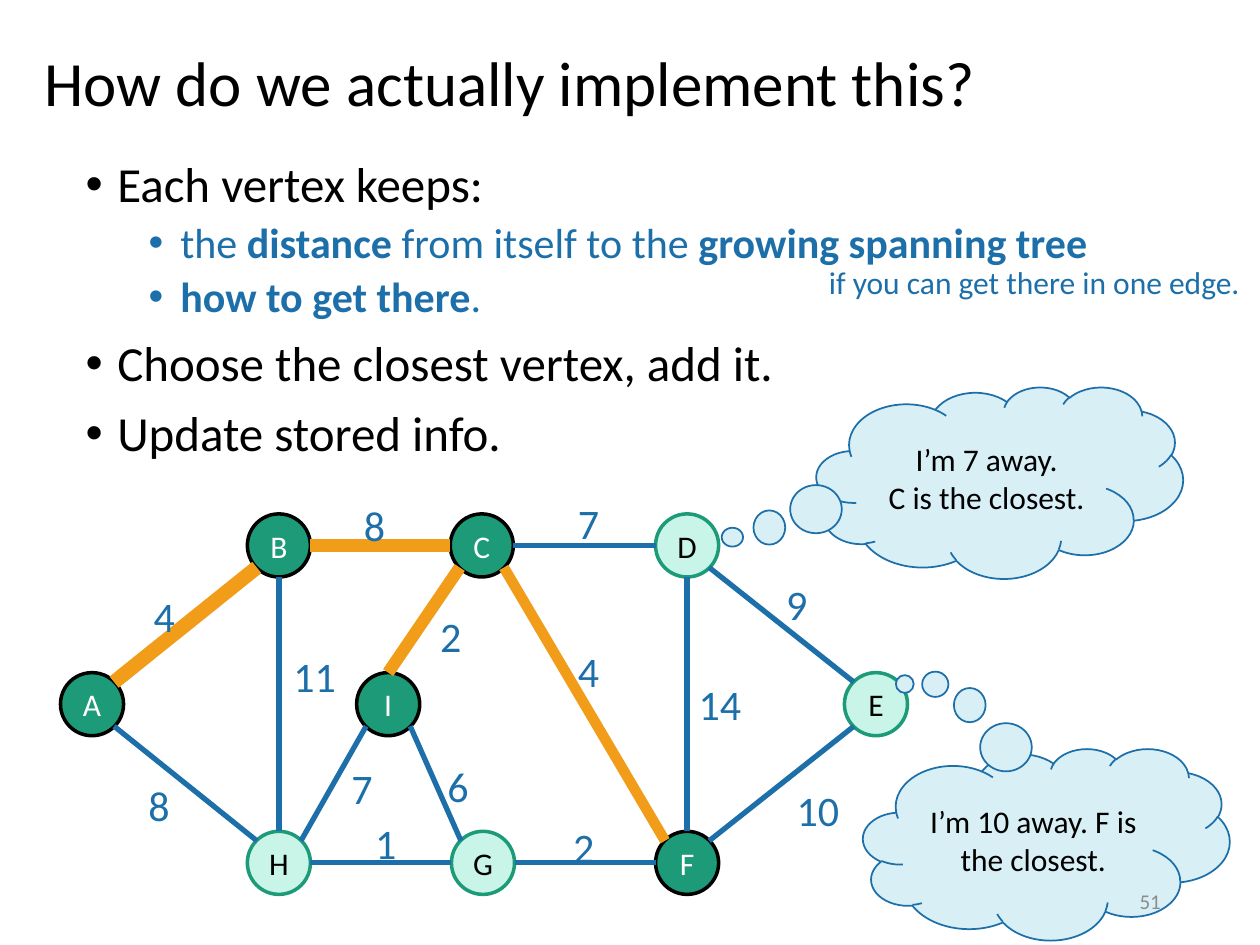
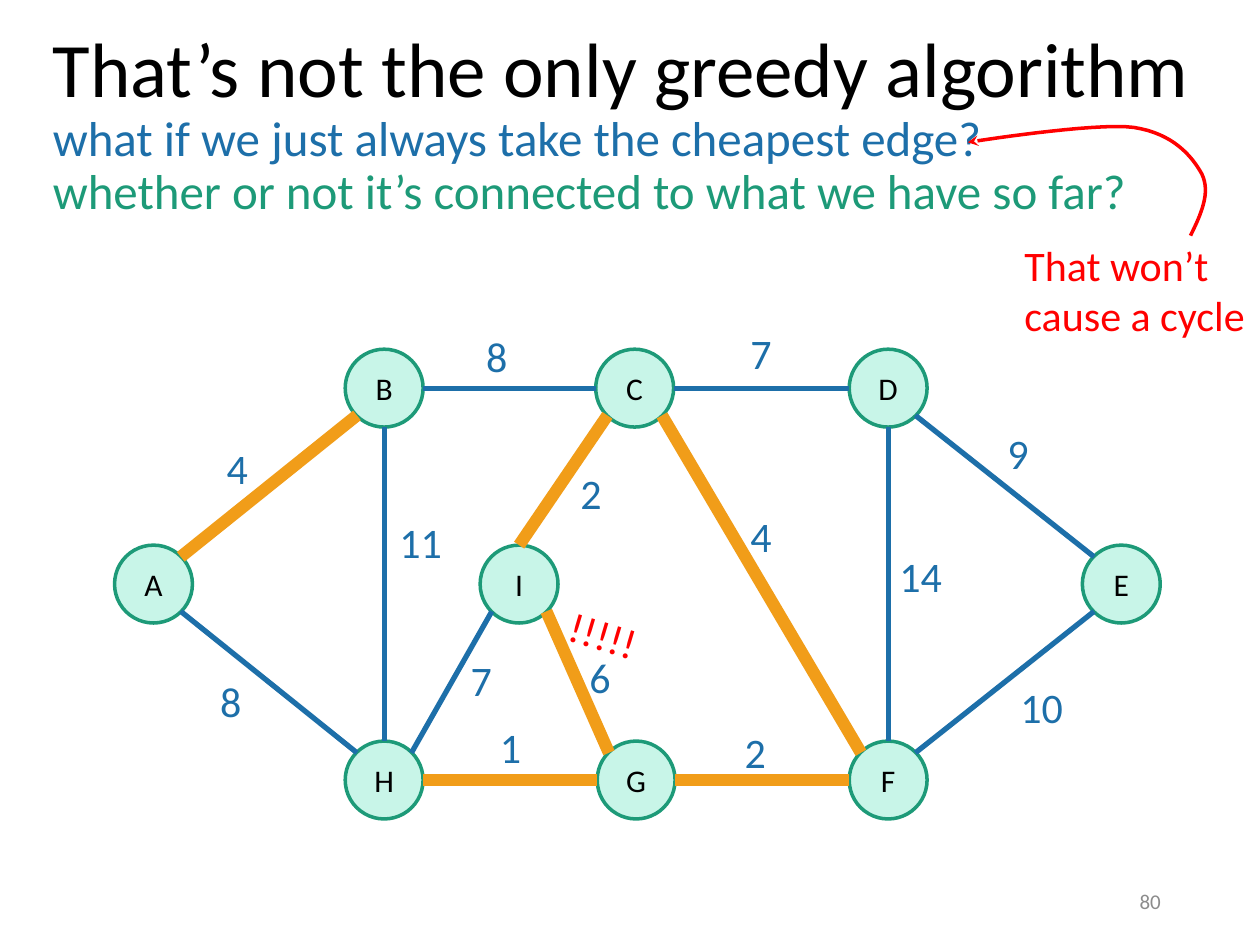
import pptx
import pptx.util
import pptx.dml.color
import pptx.enum.shapes
import pptx.enum.text
import pptx.oxml.ns
import lxml.etree

Cm = pptx.util.Cm
Pt = pptx.util.Pt
Shape = pptx.enum.shapes.MSO_SHAPE
Line = pptx.enum.shapes.MSO_CONNECTOR
Align = pptx.enum.text.PP_ALIGN
Anchor = pptx.enum.text.MSO_ANCHOR
Fit = pptx.enum.text.MSO_AUTO_SIZE

BLACK, WHITE, RED, GREY = "000000", "FFFFFF", "FF0000", "8C8C8C"
BLUE, GREEN, MINT, GOLD, SKY = "1D6FA9", "1D9A78", "C8F5E8", "F19D19", "D7EFF5"

NODE = 1.57
NODES = {
    "A": (0, 3.95), "B": (4.65, 0), "C": (9.7, 0),
    "D": (14.81, 0), "E": (19.51, 3.95), "F": (14.81, 7.9),
    "G": (9.73, 7.9), "H": (4.65, 7.9), "I": (7.37, 3.95),
}
SIDES = {
    "n": (0.5, 0), "s": (0.5, 1), "w": (0, 0.5), "e": (1, 0.5),
    "nw": (0.15, 0.15), "ne": (0.85, 0.15),
    "sw": (0.15, 0.85), "se": (0.85, 0.85),
}
EDGES = [
    ("CF", "se", "nw", 4, 12.57, 3.12),
    ("CD", "e", "w", 7, 12.57, -0.56),
    ("DE", "se", "nw", 9, 17.75, 1.45),
    ("EF", "sw", "ne", 10, 18.01, 6.58),
    ("DF", "s", "n", 14, 15.57, 3.94),
    ("IG", "se", "nw", 6, 9.32, 5.97),
    ("GF", "e", "w", 2, 12.45, 7.49),
    ("CI", "sw", "n", 2, 9.14, 2.26),
    ("BC", "e", "w", 8, 7.24, -0.51),
    ("AB", "ne", "sw", 4, 2.01, 1.75),
    ("AH", "se", "nw", 8, 1.88, 6.45),
    ("HG", "e", "w", 1, 7.52, 7.39),
    ("HI", "ne", "sw", 7, 6.93, 6.02),
    ("BH", "s", "n", 11, 5.49, 3.25),
]


def paint(code):
    return pptx.dml.color.RGBColor.from_string(code)


def apply(item, values):
    for name, value in values.items():
        setattr(item, name, value)


def add_tag(parent, tag, **values):
    node = lxml.etree.SubElement(parent, pptx.oxml.ns.qn(tag))
    for name, value in values.items():
        node.set(name, str(value))


def curve(start, parts, steps=16):
    points = [start]
    for one, two, end in parts:
        for step in range(1, steps + 1):
            t = step / steps
            u = 1 - t
            points.append(tuple(
                u**3 * a + 3 * u * u * t * b + 3 * u * t * t * c + t**3 * d
                for a, b, c, d in zip(start, one, two, end)))
        start = end
    return points


class Deck:
    font = "Calibri"

    def __init__(self):
        self.file = pptx.Presentation()
        apply(self.file, {"slide_width": Cm(25.4), "slide_height": Cm(19.05)})

    def start(self, layout, number):
        self.slide = self.file.slides.add_slide(self.file.slide_layouts[layout])
        self.shapes = self.slide.shapes
        self.number = number

    def close(self):
        self.text((17.93, 17.65, 5.72, 1.02), str(self.number), 12, GREY,
                  Align.RIGHT, vertical_anchor=Anchor.MIDDLE)

    def place(self, item, box):
        names = ("left", "top", "width", "height")
        apply(item, dict(zip(names, map(Cm, box))))

    def run(self, para, text, size, color, bold=False):
        run = para.add_run()
        run.text = text
        apply(run.font, {"name": self.font, "size": Pt(size), "bold": bold})
        run.font.color.rgb = paint(color)

    def paras(self, frame, count):
        return [frame.paragraphs[0]] + [
            frame.add_paragraph() for _ in range(count - 1)]

    def title(self, box, lines):
        item = self.shapes.title
        self.place(item, box)
        frame = item.text_frame
        apply(frame, {"word_wrap": True, "auto_size": Fit.NONE,
                      "vertical_anchor": Anchor.MIDDLE})
        for para, line in zip(self.paras(frame, len(lines)), lines):
            apply(para, {"alignment": Align.LEFT, "line_spacing": 0.9,
                         "space_before": Pt(0)})
            self.run(para, *line)

    def bullets(self, box, items):
        item = self.slide.placeholders[1]
        self.place(item, box)
        frame = item.text_frame
        frame.auto_size = Fit.NONE
        for index, (para, (level, runs)) in enumerate(
                zip(self.paras(frame, len(items)), items)):
            gap = (5 if level else 10) if index else 0
            apply(para, {"level": level, "line_spacing": 0.9,
                         "space_before": Pt(gap)})
            props = para._p.get_or_add_pPr()
            props.set("marL", str(Cm(1.91 if level else 0.64)))
            props.set("indent", str(Cm(-0.64)))
            add_tag(props, "a:buFont", typeface="Arial")
            add_tag(props, "a:buChar", char="•")
            for text, bold in runs:
                self.run(para, text, 24 if level else 28,
                         BLUE if level else BLACK, bold)

    def text(self, box, words, size=24, color=BLUE, align=Align.LEFT,
             turn=0, **format):
        item = self.shapes.add_textbox(*map(Cm, box))
        item.rotation = turn
        apply(item.text_frame, {"word_wrap": True, **format})
        para = item.text_frame.paragraphs[0]
        para.alignment = align
        self.run(para, words, size, color)

    def shape(self, kind, box, fill, edge, width, lines=(), color=BLACK):
        item = self.shapes.add_shape(kind, *map(Cm, box))
        item.shadow.inherit = False
        item.fill.solid()
        item.fill.fore_color.rgb = paint(fill)
        item.line.color.rgb = paint(edge)
        item.line.width = Pt(width)
        if lines:
            frame = item.text_frame
            apply(frame, {"word_wrap": True, "vertical_anchor": Anchor.MIDDLE})
            for para, line in zip(self.paras(frame, len(lines)), lines):
                para.alignment = Align.CENTER
                self.run(para, line, 18, color)

    def link(self, start, end, color, width):
        item = self.shapes.add_connector(
            Line.STRAIGHT, *map(Cm, (*start, *end)))
        item.line.color.rgb = paint(color)
        item.line.width = Pt(width)
        add_tag(item._element.spPr, "a:effectLst")

    def arrow(self, points, color, width):
        spots = [(Cm(x), Cm(y)) for x, y in points]
        form = self.shapes.build_freeform(*spots[0])
        form.add_line_segments(spots[1:], close=False)
        item = form.convert_to_shape()
        item.shadow.inherit = False
        item.fill.background()
        item.line.color.rgb = paint(color)
        item.line.width = Pt(width)
        add_tag(item.line._get_or_add_ln(), "a:tailEnd", type="stealth")

    def graph(self, left, top, scale, tree, done=""):
        def spot(x, y):
            return left + x * scale, top + y * scale

        def port(name, side):
            x, y = NODES[name]
            across, down = SIDES[side]
            return spot(x + across * NODE, y + down * NODE)

        size = NODE * scale
        for name, (x, y) in NODES.items():
            look = (GREEN, BLACK) if name in done else (MINT, GREEN)
            self.shape(Shape.OVAL, (*spot(x, y), size, size), *look, 2,
                       [name], WHITE if name in done else BLACK)
        for (tail, head), out, into, *_ in EDGES:
            width = tree.get(tail + head)
            self.link(port(tail, out), port(head, into),
                      GOLD if width else BLUE, width or 3)
        for *_, cost, x, y in EDGES:
            self.text((*spot(x, y), 2.18 * scale, 1.27 * scale), str(cost))

    def thought(self, left, top, lines, dots):
        self.shape(Shape.CLOUD, (left, top, 7.39, 3.86), SKY, BLUE, 1, lines)
        for dot in dots:
            self.shape(Shape.OVAL, dot, SKY, BLUE, 1)


def steps(deck):
    deck.start(1, 51)
    deck.title((0.64, -0.1, 21.89, 3.68),
               [("How do we actually implement this?", 36, BLACK)])
    deck.bullets((1.47, 3.1, 21.89, 12.09), [
        (0, [("Each vertex keeps:", False)]),
        (1, [("the ", False), ("distance", True),
             (" from itself to the ", False), ("growing spanning tree", True)]),
        (1, [("how to get there", True), (".", False)]),
        (0, [("Choose the closest vertex, add it.", False)]),
        (0, [("Update stored info.", False)]),
    ])
    deck.graph(1.22, 10.36, 0.81,
               {"AB": 8.25, "BC": 7, "CI": 7, "CF": 6}, "ABCFI")
    deck.thought(16.46, 7.8, ["I’m 7 away.", "C is the closest."], [
        (15.93, 9.78, 1.04, 0.97), (15.19, 10.29, 0.64, 0.69),
        (14.55, 10.64, 0.43, 0.38)])
    deck.thought(17.4, 15.09, ["I’m 10 away. F is the closest."], [
        (19.76, 14.58, 1.04, 0.97), (19.23, 13.87, 0.64, 0.69),
        (18.59, 13.54, 0.53, 0.51), (18.06, 13.61, 0.36, 0.36)])
    deck.text((16.46, 5.18, 10.44, 1.02), "if you can get there in one edge.", 18)
    deck.close()


def greedy(deck):
    deck.start(5, 80)
    deck.title((0.81, 0.1, 24.69, 4.85), [
        ("That’s not the only greedy algorithm", 44, BLACK),
        ("what if we just always take the cheapest edge?", 28, BLUE),
        ("whether or not it’s connected to what we have so far?", 28, GREEN),
    ])
    deck.graph(2.31, 7.04, 1, dict.fromkeys(
        ("AB", "CI", "CF", "IG", "GF", "HG"), 7))
    deck.text((11.18, 12.45, 3.96, 1.27), "!!!!!", color=RED, turn=16.5)
    deck.text((20.4, 4.7, 5.59, 2.31), "That won’t cause a cycle", color=RED)
    deck.arrow(curve((24, 4.75), [
        ((24.21, 4.32), (24.41, 3.89), (24.23, 3.51)),
        ((24.03, 3.15), (23.65, 2.69), (22.86, 2.57)),
        ((22.07, 2.46), (19.51, 2.87), (19.51, 2.87))]), RED, 2)
    deck.close()


def main():
    deck = Deck()
    steps(deck)
    greedy(deck)
    deck.file.save("out.pptx")


if __name__ == "__main__":
    main()
